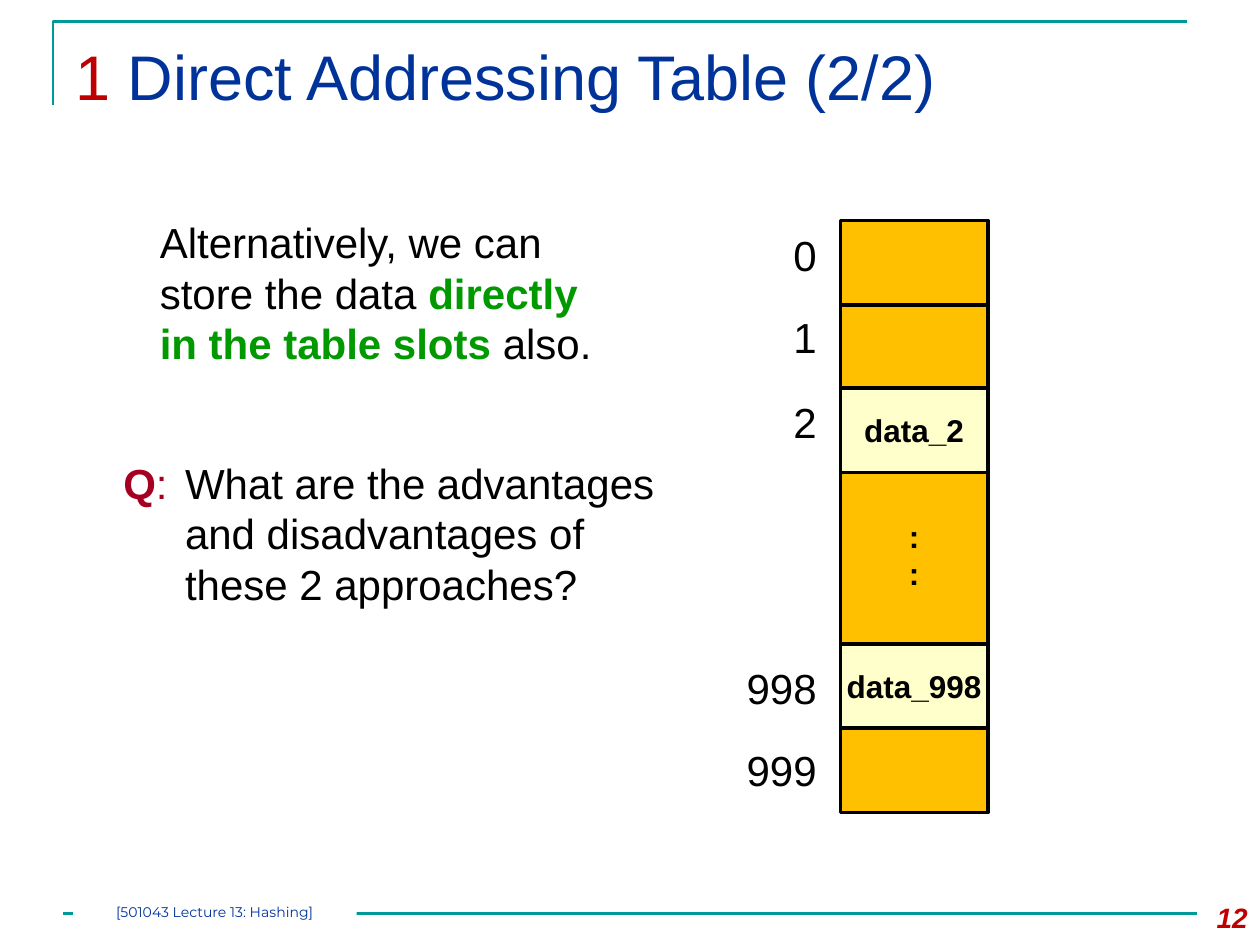
from lxml import etree
from pptx import Presentation
from pptx.dml.color import RGBColor
from pptx.enum.shapes import MSO_CONNECTOR, MSO_SHAPE
from pptx.enum.text import MSO_ANCHOR, PP_ALIGN
from pptx.oxml.ns import qn
from pptx.util import Inches, Pt

TEAL, BLUE, RED, CRIMSON = "009999", "003399", "C00000", "A50021"
GREEN, BLACK, WHITE = "009900", "000000", "FFFFFF"
EMPTY, FILLED = "FFC000", "FFFFCC"

# Runs: (text, colour, bold)
TITLE = [("1 ", RED, False), ("Direct Addressing Table (2/2)", BLUE, False)]
STATEMENT = [
    ("Alternatively, we can store the data ", BLACK, False),
    ("directly in the table slots", GREEN, True),
    (" also.", BLACK, False),
]
QUESTION = [
    ("Q", CRIMSON, True),
    (":", CRIMSON, False),
    ("\tWhat are the advantages and disadvantages of these 2 approaches?", BLACK, False),
]
FOOTER = "[501043 Lecture 13: Hashing]"
PAGE_NUMBER = "12"

SLOT_LEFT, SLOT_WIDTH, SLOT_HEIGHT = 6.67, 1.17, 0.67
LABEL_RIGHT, LABEL_WIDTH, LABEL_HEIGHT = 6.58, 0.92, 0.5
# Slots: (top, height, fill, lines of content), the gap at the back
SLOTS = [
    (3.69, 1.42, EMPTY, [":", ":"]),
    (1.75, SLOT_HEIGHT, EMPTY, []),
    (2.42, SLOT_HEIGHT, EMPTY, []),
    (3.08, SLOT_HEIGHT, FILLED, ["data_2"]),
    (5.11, SLOT_HEIGHT, FILLED, ["data_998"]),
    (5.78, SLOT_HEIGHT, EMPTY, []),
]
# Index labels: (text, top)
LABELS = [("0", 1.77), ("1", 2.42), ("2", 3.1), ("998", 5.21), ("999", 5.86)]


def rgb(value):
    return RGBColor.from_string(value)


def set_font(paragraph, size, color=BLACK, bold=False, italic=False, name="Arial"):
    font = paragraph.font
    font.name, font.size, font.bold, font.italic = name, Pt(size), bold, italic
    font.color.rgb = rgb(color)


def add_text(slide, box, runs, size, align=PP_ALIGN.LEFT, italic=False, hanging=0):
    """Add a one-paragraph text box; hanging sets an indent with a tab stop."""
    frame = slide.shapes.add_textbox(*map(Inches, box)).text_frame
    frame.word_wrap = True
    paragraph = frame.paragraphs[0]
    paragraph.alignment = align
    if hanging:
        properties = paragraph._p.get_or_add_pPr()
        properties.set("marL", str(Inches(hanging)))
        properties.set("indent", str(-Inches(hanging)))
        tabs = etree.SubElement(properties, qn("a:tabLst"))
        etree.SubElement(tabs, qn("a:tab"), pos=str(Inches(hanging)), algn="l")
    set_font(paragraph, size, runs[0][1], runs[0][2], italic)
    for text, color, bold in runs:
        run = paragraph.add_run()
        run.text = text
        run.font.bold = bold
        run.font.color.rgb = rgb(color)
    return frame


def add_rectangle(slide, box, fill):
    shape = slide.shapes.add_shape(MSO_SHAPE.RECTANGLE, *map(Inches, box))
    shape.shadow.inherit = False
    shape.fill.solid()
    shape.fill.fore_color.rgb = rgb(fill)
    return shape


def add_frame_lines(slide):
    builder = slide.shapes.build_freeform(Inches(0.42), Inches(0.83))
    builder.add_line_segments(
        [(Inches(0.42), Inches(0.17)), (Inches(9.42), Inches(0.17))], close=False
    )
    corner = builder.convert_to_shape()
    corner.shadow.inherit = False
    corner.fill.background()
    rule = slide.shapes.add_connector(
        MSO_CONNECTOR.STRAIGHT, Inches(0.5), Inches(7.25), Inches(9.5), Inches(7.25)
    )
    etree.SubElement(rule._element.spPr, qn("a:effectLst"))
    for shape in (corner, rule):
        shape.line.color.rgb = rgb(TEAL)
        shape.line.width = Pt(1.5)


def add_slot(slide, top, height, fill, lines):
    slot = add_rectangle(slide, (SLOT_LEFT, top, SLOT_WIDTH, height), fill)
    slot.line.color.rgb = rgb(BLACK)
    slot.line.width = Pt(2)
    frame = slot.text_frame
    frame.word_wrap = False
    frame.vertical_anchor = MSO_ANCHOR.MIDDLE
    frame.text = "\n".join(lines)
    for paragraph in frame.paragraphs:
        paragraph.alignment = PP_ALIGN.CENTER
        set_font(paragraph, 18, bold=True)


def add_footer(slide):
    footer = add_rectangle(slide, (0.58, 7.17, 2.25, 0.17), WHITE)
    footer.line.fill.background()
    frame = footer.text_frame
    frame.margin_left = frame.margin_right = frame.margin_top = frame.margin_bottom = 0
    frame.vertical_anchor = MSO_ANCHOR.TOP
    frame.text = FOOTER
    frame.paragraphs[0].alignment = PP_ALIGN.CENTER
    set_font(frame.paragraphs[0], 8, BLUE, name="Montserrat")


def main():
    presentation = Presentation()
    presentation.slide_width, presentation.slide_height = Inches(10), Inches(7.5)
    slide = presentation.slides.add_slide(presentation.slide_layouts[6])

    add_frame_lines(slide)
    add_text(slide, (0.5, 0.25, 9, 0.86), TITLE, 36)
    add_text(slide, (9.33, 7.1, 0.67, 0.4), [(PAGE_NUMBER, RED, True)], 16,
             PP_ALIGN.RIGHT, italic=True)
    add_text(slide, (1.17, 1.67, 3.83, 1.31), STATEMENT, 24)
    for slot in SLOTS:
        add_slot(slide, *slot)
    for text, top in LABELS:
        box = (LABEL_RIGHT - LABEL_WIDTH, top, LABEL_WIDTH, LABEL_HEIGHT)
        add_text(slide, box, [(text, BLACK, False)], 24, PP_ALIGN.RIGHT)
    add_text(slide, (0.88, 3.58, 4.71, 1.31), QUESTION, 24, hanging=0.49)
    add_footer(slide)
    presentation.save("out.pptx")


if __name__ == "__main__":
    main()
